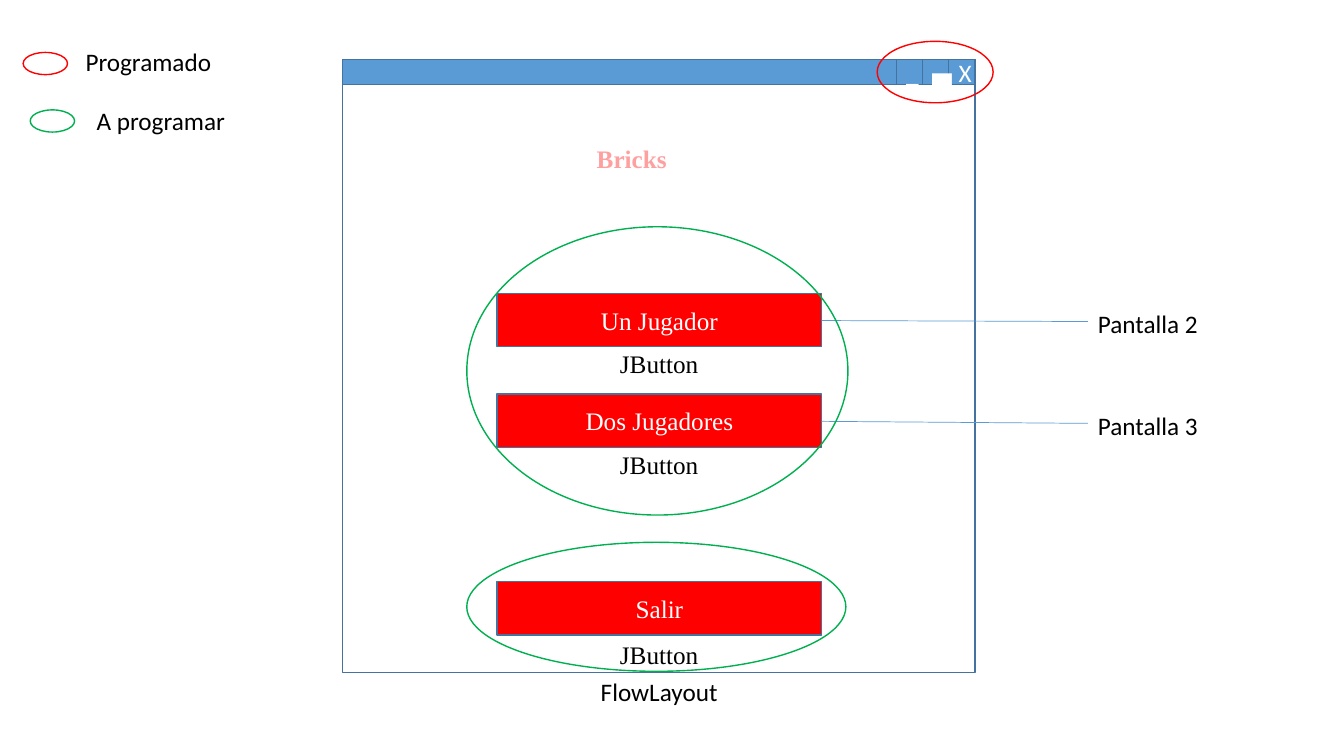
import pptx
import pptx.util
import pptx.dml.color
import pptx.enum.shapes
import pptx.enum.text
import pptx.oxml
import pptx.oxml.ns
from pptx.util import Inches, Pt

SERIF, SANS = "Times New Roman", "Calibri"
RED, GREEN, BLUE, EDGE = "FF0000", "00B050", "5B9BD5", "43739E"
WHITE, BLACK, PINK = "FFFFFF", "000000", "FFA0A0"

# Window frame: left, top of title bar, width, bar height, body height
WIN_X, WIN_Y, WIN_W, BAR_H, BODY_H = 3.4, 0.59, 6.27, 0.25, 5.83
CONTROLS = ["X", "▄", "_"]  # from the right edge inwards
CONTROL_W = 0.26

BUTTON_X, BUTTON_W, BUTTON_H = 4.93, 3.22, 0.53
# text, top of button, top of its class label
BUTTONS = [("Un Jugador", 2.91, 3.41), ("Salir", 5.77, 6.29), ("Dos Jugadores", 3.91, 4.41)]
# text, left, top, width, height, font, colour, bold, wrap
LABELS = [
    ("FlowLayout", 5.86, 6.66, 1.37, 0.4, SANS, BLACK, False, False),
    ("Bricks", 5.82, 1.37, 1.41, 0.79, SERIF, PINK, True, True),
    ("Pantalla 2", 10.79, 3.01, 1.79, 0.41, SANS, BLACK, False, True),
    ("Pantalla 3", 10.79, 4.02, 1.79, 0.41, SANS, BLACK, False, True),
    ("Programado", 0.75, 0.41, 1.46, 0.4, SANS, BLACK, False, False),
    ("A programar", 0.86, 1.0, 1.49, 0.4, SANS, BLACK, False, False),
]
# start height at the button, end height at the screen label
LINKS = [(3.18, 3.19), (4.18, 4.2)]
LINK_END = 10.79
# left, top, width, height, colour
RINGS = [
    (0.23, 0.52, 0.44, 0.22, RED),
    (0.3, 1.09, 0.44, 0.22, GREEN),
    (8.7, 0.41, 1.15, 0.61, RED),
    (4.63, 2.25, 3.78, 2.86, GREEN),
    (4.63, 5.38, 3.76, 1.28, GREEN),
]

prs = pptx.Presentation()
prs.slide_width, prs.slide_height = Inches(13.33), Inches(7.5)
s = prs.slides.add_slide(prs.slide_layouts[6])


def rgb(value):
    return pptx.dml.color.RGBColor.from_string(value)


def write(sp, text, font, color, bold=False):
    p = sp.text_frame.paragraphs[0]
    p.text = text
    f = p.runs[0].font
    f.name, f.size, f.bold = font, Pt(18), bold
    f.color.rgb = rgb(color)
    return p


def add_box(kind, x, y, w, h, fill, line):
    """Add a preset shape; a fill of None leaves it hollow."""
    sp = s.shapes.add_shape(kind, Inches(x), Inches(y), Inches(w), Inches(h))
    sp.shadow.inherit = False
    if fill:
        sp.fill.solid()
        sp.fill.fore_color.rgb = rgb(fill)
    else:
        sp.fill.background()
    sp.line.color.rgb = rgb(line)
    sp.line.width = Pt(1)
    return sp


def add_rect(x, y, w, h, fill, text=None, font=SANS):
    sp = add_box(pptx.enum.shapes.MSO_SHAPE.RECTANGLE, x, y, w, h, fill, EDGE)
    if text:
        sp.text_frame.vertical_anchor = pptx.enum.text.MSO_ANCHOR.MIDDLE
        write(sp, text, font, WHITE).alignment = pptx.enum.text.PP_ALIGN.CENTER


def add_label(text, x, y, w, h, font, color, bold, wrap):
    sp = s.shapes.add_textbox(Inches(x), Inches(y), Inches(w), Inches(h))
    sp.text_frame.word_wrap = wrap
    write(sp, text, font, color, bold)


add_rect(WIN_X, WIN_Y + BAR_H, WIN_W, BODY_H, WHITE)
for text, top, label_top in BUTTONS:
    add_rect(BUTTON_X, top, BUTTON_W, BUTTON_H, RED, text, SERIF)
    add_label("JButton", 6.05, label_top, 0.98, 0.4, SERIF, BLACK, False, False)

add_rect(WIN_X, WIN_Y, WIN_W, BAR_H, BLUE)
for i, symbol in enumerate(CONTROLS, start=1):
    add_rect(WIN_X + WIN_W - i * CONTROL_W, WIN_Y, CONTROL_W, BAR_H, BLUE, symbol)

for y1, y2 in LINKS:
    link = s.shapes.add_connector(
        pptx.enum.shapes.MSO_CONNECTOR.STRAIGHT,
        Inches(BUTTON_X + BUTTON_W), Inches(y1), Inches(LINK_END), Inches(y2))
    link.line.color.rgb = rgb(BLUE)
    link.line.width = Pt(0.5)
    link._element.spPr.append(pptx.oxml.parse_xml(
        "<a:effectLst %s/>" % pptx.oxml.ns.nsdecls("a")))

for label in LABELS:
    add_label(*label)
for x, y, w, h, color in RINGS:
    add_box(pptx.enum.shapes.MSO_SHAPE.OVAL, x, y, w, h, None, color)

prs.save("out.pptx")
